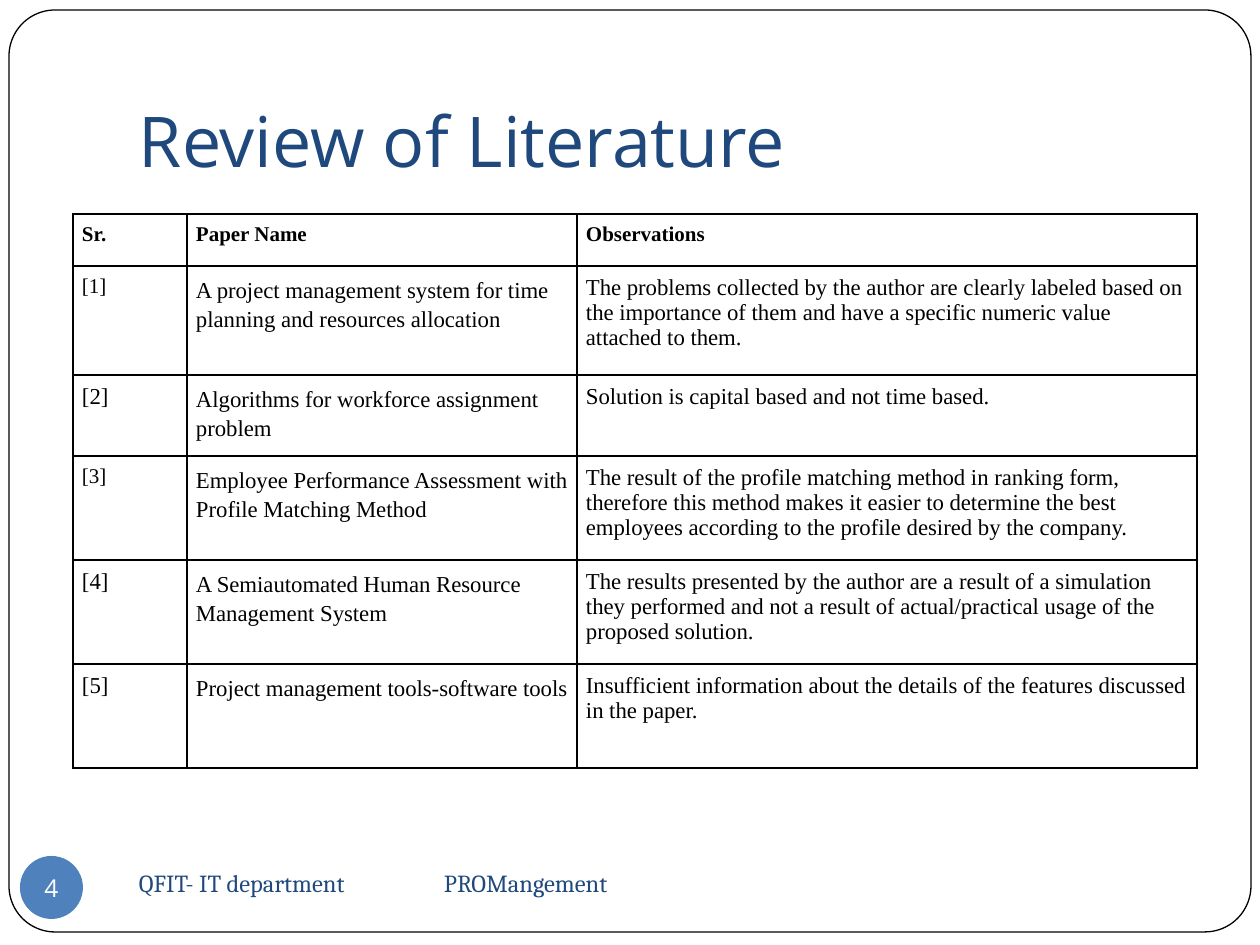
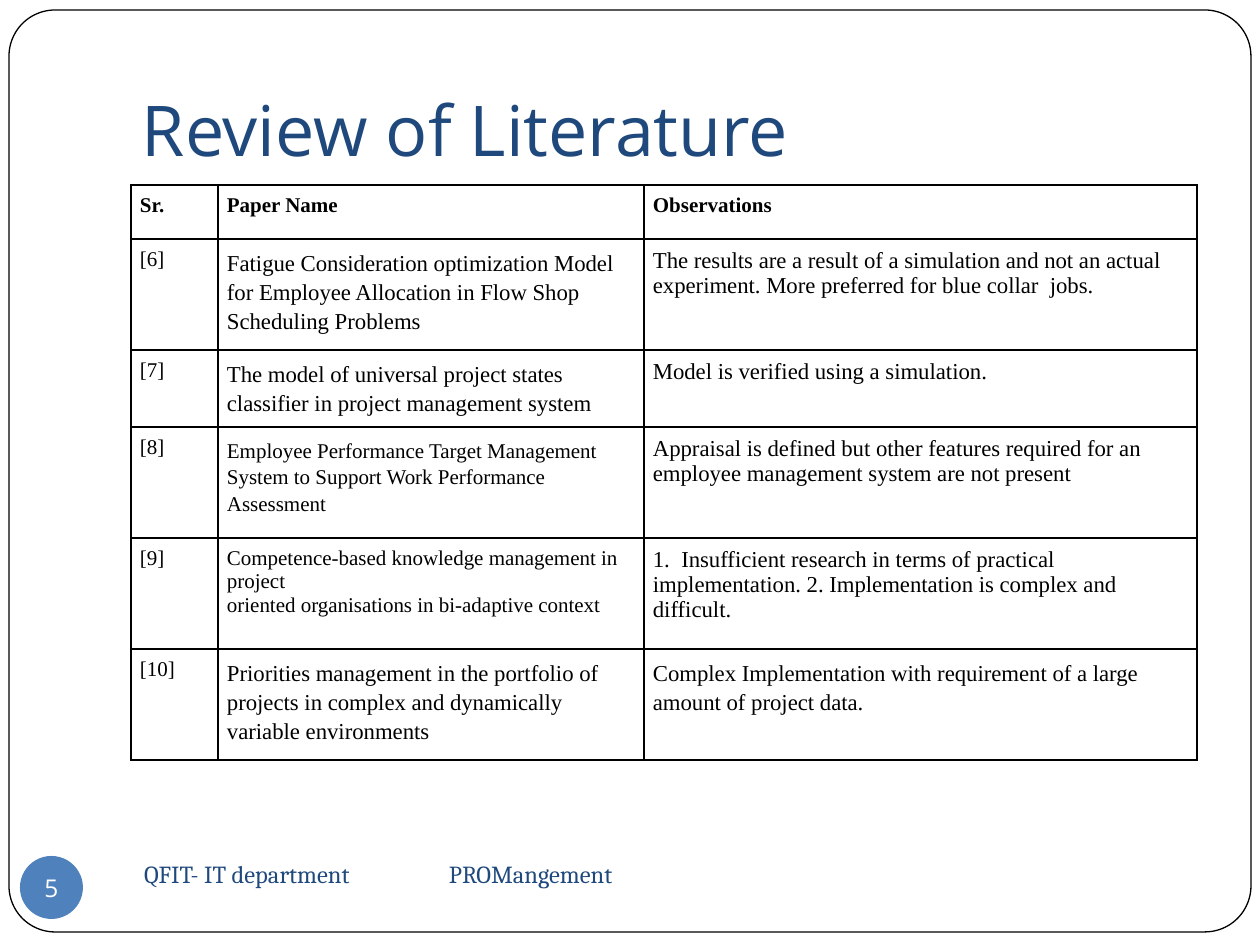
"""Build two slides that review literature in bordered tables."""
from lxml import etree
from pptx import Presentation, util as u
from pptx.dml.color import RGBColor
from pptx.enum import shapes, text as t
from pptx.oxml import ns

PIXEL = 914400 / 126
BLACK = RGBColor(0x00, 0x00, 0x00)
WHITE = RGBColor(0xFF, 0xFF, 0xFF)
NAVY = RGBColor(0x1F, 0x49, 0x7D)
BLUE = RGBColor(0x4F, 0x81, 0xBD)
HEADING_FONT, FOOTER_FONT, TABLE_FONT = "Open Sans", "Cambria", "Times New Roman"
HEADINGS = ("Sr.", "Paper Name", "Observations")
COLUMN_FORMATS = ({"size": 12}, {"size": 13, "spacing": 1.15}, {"size": 13})


def px(length):
    """Turn pixels into EMU."""
    return u.Emu(round(length * PIXEL))


def write(frame, content, font, size, color=BLACK, bold=False, align=t.PP_ALIGN.LEFT,
          spacing=1.0, anchor=t.MSO_ANCHOR.MIDDLE, margins=(13, 6, 13, 6)):
    """Fill a text frame with formatted paragraphs, one for each line."""
    frame.word_wrap = True
    frame.auto_size = t.MSO_AUTO_SIZE.NONE
    frame.vertical_anchor = anchor
    (frame.margin_left, frame.margin_top,
     frame.margin_right, frame.margin_bottom) = map(px, margins)
    write_paragraphs(frame, content, font, size, color, bold, align, spacing)


def write_paragraphs(frame, content, font, size, color, bold, align, spacing):
    """Write each line of the content as a formatted paragraph."""
    for index, line in enumerate(content.split("\n")):
        paragraph = frame.add_paragraph() if index else frame.paragraphs[0]
        paragraph.alignment = align
        paragraph.line_spacing = spacing
        run = paragraph.add_run()
        run.text = line
        run.font.name, run.font.size, run.font.bold = font, u.Pt(size), bold
        run.font.color.rgb = color


def styled(content, **changes):
    """Pair a cell's text with its changes to the column format."""
    return content, changes


class Deck:
    """Hold the presentation, its shared style and the current slide."""

    def __init__(self):
        """Start a presentation of 10 by 7.5 inches."""
        self.presentation = Presentation()
        self.presentation.slide_width = px(1260)
        self.presentation.slide_height = px(945)
        self.slide = None

    def add_slide(self, number, title_box, footer_box):
        """Add a slide with its frame, title, footer and number."""
        self.slide = self.presentation.slides.add_slide(self.presentation.slide_layouts[5])
        self.frame()
        self.title("Review of Literature", title_box)
        self.footer("QFIT- IT department\tPROMangement", footer_box)
        self.badge(str(number))

    def shape(self, kind, box, fill, line=None):
        """Add a flat preset shape."""
        shape = self.slide.shapes.add_shape(kind, *map(px, box))
        shape.shadow.inherit = False
        shape.fill.solid()
        shape.fill.fore_color.rgb = fill
        if line is None:
            shape.line.fill.background()
        else:
            shape.line.color.rgb = line
            shape.line.width = u.Pt(0.75)
        return shape

    def frame(self):
        """Add the rounded frame behind everything else."""
        shape = self.shape(shapes.MSO_SHAPE.ROUNDED_RECTANGLE, (9, 10, 1242, 922), WHITE, BLACK)
        shape.adjustments[0] = 0.05
        self.slide.shapes._spTree.insert(2, shape._element)

    def title(self, content, box):
        """Move and format the title placeholder."""
        title = self.slide.shapes.title
        title.left, title.top, title.width, title.height = map(px, box)
        write(title.text_frame, content, HEADING_FONT, 40, NAVY,
              anchor=t.MSO_ANCHOR.BOTTOM, margins=(13, 6, 13, 13))

    def footer(self, content, box):
        """Add the footer with a tab stop between its two parts."""
        frame = self.slide.shapes.add_textbox(*map(px, box)).text_frame
        write(frame, content, FOOTER_FONT, 14, NAVY)
        properties = frame.paragraphs[0]._p.get_or_add_pPr()
        stops = etree.SubElement(properties, ns.qn("a:tabLst"))
        etree.SubElement(stops, ns.qn("a:tab"), pos=str(px(305)), algn="l")

    def badge(self, content):
        """Add the slide number in a circle."""
        shape = self.shape(shapes.MSO_SHAPE.OVAL, (20, 856, 63, 63), BLUE)
        write(shape.text_frame, content, HEADING_FONT, 14, WHITE,
              align=t.PP_ALIGN.CENTER, margins=(0, 0, 0, 0))

    def table(self, left, top, widths, heights, rows):
        """Add a bordered table under the shared headings."""
        shape = self.slide.shapes.add_table(
            len(heights), len(widths), px(left), px(top), px(sum(widths)), px(sum(heights)))
        table = shape.table
        table.first_row = table.horz_banding = False
        for column, width in zip(table.columns, widths):
            column.width = px(width)
        for row, height in zip(table.rows, heights):
            row.height = px(height)
        for column, heading in enumerate(HEADINGS):
            self.cell(table.cell(0, column), heading, size=12, bold=True)
        for row, contents in enumerate(rows, 1):
            for column, content in enumerate(contents):
                words, changes = content if isinstance(content, tuple) else styled(content)
                self.cell(table.cell(row, column), words, **{**COLUMN_FORMATS[column], **changes})

    def cell(self, cell, content, size, bold=False, spacing=1.0):
        """Fill one cell and draw its borders."""
        cell.margin_left = cell.margin_top = cell.margin_right = cell.margin_bottom = px(9)
        cell.vertical_anchor = t.MSO_ANCHOR.TOP
        write_paragraphs(cell.text_frame, content, TABLE_FONT, size, BLACK, bold,
                         t.PP_ALIGN.LEFT, spacing)
        properties = cell._tc.get_or_add_tcPr()
        for side in ("lnL", "lnR", "lnT", "lnB"):
            line = etree.SubElement(properties, ns.qn(f"a:{side}"), w=str(u.Pt(1)))
            fill = etree.SubElement(line, ns.qn("a:solidFill"))
            etree.SubElement(fill, ns.qn("a:srgbClr"), val=str(BLACK))
        cell.fill.solid()
        cell.fill.fore_color.rgb = WHITE


def main():
    """Build and save both slides."""
    deck = Deck()

    deck.add_slide(4, title_box=(126, 38, 1071, 157), footer_box=(126, 851, 987, 63))
    deck.table(73, 214, (114, 390, 620), (52, 109, 81, 104, 104, 104), (
        ("[1]",
         "A project management system for time planning and resources allocation",
         "The problems collected by the author are clearly labeled based on the importance "
         "of them and have a specific numeric value attached to them."),
        (styled("[2]", size=13),
         "Algorithms for workforce assignment problem",
         "Solution is capital based and not time based."),
        ("[3]",
         "Employee Performance Assessment with Profile Matching Method",
         "The result of the profile matching method in ranking form, therefore this method "
         "makes it easier to determine the best employees according to the profile desired "
         "by the company."),
        (styled("[4]", size=13),
         "A Semiautomated Human Resource Management System",
         "The results presented by the author are a result of a simulation they performed "
         "and not a result of actual/practical usage of the proposed solution."),
        (styled("[5]", size=13),
         "Project management tools-software tools",
         "Insufficient information about the details of the features discussed in the paper."),
    ))

    deck.add_slide(5, title_box=(129, 66, 1071, 118), footer_box=(131, 842, 987, 63))
    deck.table(131, 185, (87, 426, 553), (54, 111, 77, 111, 111, 111), (
        ("[6]",
         "Fatigue Consideration optimization Model for Employee Allocation in Flow Shop "
         "Scheduling Problems",
         "The results are a result of a simulation and not an actual experiment. "
         "More preferred for blue collar  jobs."),
        ("[7]",
         "The model of universal project states classifier in project management system",
         "Model is verified using a simulation."),
        ("[8]",
         styled("Employee Performance Target Management System to Support Work Performance "
                "Assessment", size=12),
         "Appraisal is defined but other features required for an employee management "
         "system are not present"),
        ("[9]",
         styled("Competence-based knowledge management in project\n"
                "oriented organisations in bi-adaptive context", size=12, spacing=1.0),
         "1.  Insufficient research in terms of practical implementation. "
         "2. Implementation is complex and difficult."),
        ("[10]",
         "Priorities management in the portfolio of projects in complex and dynamically "
         "variable environments",
         styled("Complex Implementation with requirement of a large amount of project data.",
                spacing=1.15)),
    ))

    deck.presentation.save("out.pptx")


if __name__ == "__main__":
    main()
